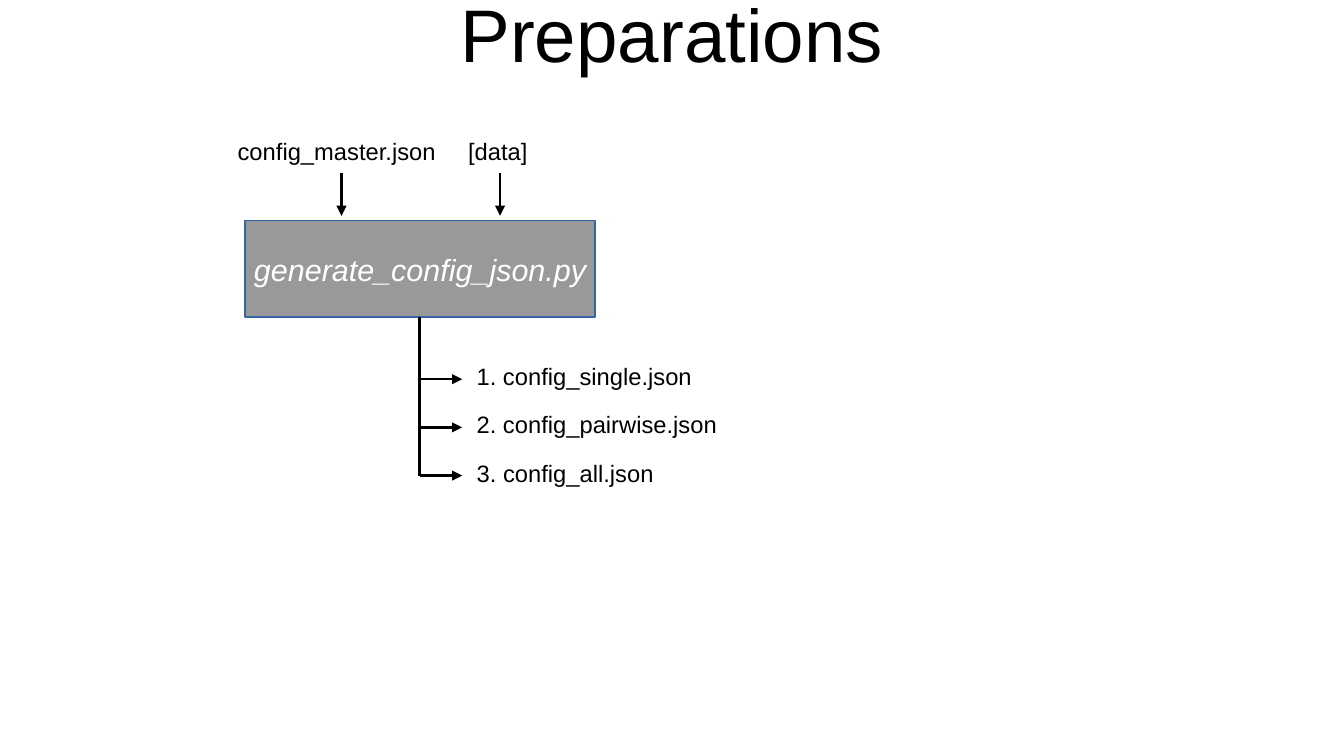
from typing import NamedTuple

from lxml import etree
from pptx import Presentation
from pptx.dml.color import RGBColor
from pptx.enum.shapes import MSO_CONNECTOR, MSO_SHAPE
from pptx.enum.text import MSO_ANCHOR, PP_ALIGN
from pptx.oxml.ns import qn
from pptx.util import Inches, Pt

STRAIGHT = MSO_CONNECTOR.STRAIGHT
RECTANGLE = MSO_SHAPE.RECTANGLE
MIDDLE = MSO_ANCHOR.MIDDLE
CENTER = PP_ALIGN.CENTER
LEFT = PP_ALIGN.LEFT

CELL = 0.1  # inches per grid column and row
COLUMNS, ROWS = 110.2, 62
COLORS = {"ink": "000000", "paper": "FFFFFF", "script": "999999", "border": "3465A4"}

LABEL_FORMAT = {"name": "Arial", "size": Pt(14)}
SCRIPT_FORMAT = {"name": "Arial", "size": Pt(18), "italic": True}
TITLE_FORMAT = {"name": "Arial", "size": Pt(44)}
NO_MARGINS = dict.fromkeys(
    ("margin_left", "margin_top", "margin_right", "margin_bottom"), 0)

TRUNK_COLUMN = 34.4
FIRST_OUTPUT_ROW, OUTPUT_STEP = 31.1, 3.95


class Area(NamedTuple):
    """A rectangle in grid columns and rows."""
    left: float
    top: float
    width: float
    height: float


class Source(NamedTuple):
    """An input of the script, with the column of its arrow."""
    text: str
    area: Area
    arrow_column: float


class Output(NamedTuple):
    """A file the script writes, with the width of its label."""
    text: str
    width: float


SOURCES = [
    Source("config_master.json", Area(18.5, 10.7, 18.9, 3.2), 28),
    Source("[data]", Area(37.4, 10.7, 7.1, 3.5), 41),
]
OUTPUTS = [
    Output("1. config_single.json", 19.7),
    Output("2. config_pairwise.json", 22.6),
    Output("3. config_all.json", 17.8),
]
SCRIPT_AREA = Area(20.1, 18.1, 28.7, 7.9)
TITLE_AREA = Area(5.5, -2.5, 99.2, 10.4)


def grid(cells: float) -> int:
    """Turn grid cells into a slide length."""
    return Inches(cells * CELL)


def color(name: str) -> RGBColor:
    """Look up a named colour."""
    return RGBColor.from_string(COLORS[name])


def set_values(target, values: dict) -> None:
    """Set each named attribute of the target."""
    for name, value in values.items():
        setattr(target, name, value)


def write(box, text: str, style: dict, ink: str = "ink", align=LEFT, **frame_values) -> None:
    """Put one formatted paragraph into a box."""
    set_values(box.text_frame, frame_values)
    para = box.text_frame.paragraphs[0]
    para.alignment = align
    span = para.add_run()
    span.text = text
    set_values(span.font, style)
    span.font.color.rgb = color(ink)


def add_label(page, text: str, area: Area) -> None:
    """Add a file label."""
    box = page.shapes.add_textbox(*map(grid, area))
    write(box, text, LABEL_FORMAT, word_wrap=True)


def add_line(page, start: tuple, end: tuple, width: float = 1.5, arrow: bool = True) -> None:
    """Draw a line between two grid points, with an optional arrowhead."""
    line = page.shapes.add_connector(STRAIGHT, *map(grid, start + end))
    line.line.color.rgb = color("ink")
    line.line.width = Pt(width)
    if arrow:
        etree.SubElement(line.line._get_or_add_ln(), qn("a:tailEnd"), type="triangle")
    etree.SubElement(line._element.spPr, qn("a:effectLst"))


def add_script(page) -> None:
    """Add the box of the generating script."""
    box = page.shapes.add_shape(RECTANGLE, *map(grid, SCRIPT_AREA))
    box.shadow.inherit = False
    box.fill.solid()
    box.fill.fore_color.rgb = color("script")
    box.line.color.rgb = color("border")
    box.line.width = Pt(0)
    write(box, "generate_config_json.py", SCRIPT_FORMAT, "paper", CENTER,
          word_wrap=False, vertical_anchor=MIDDLE)


def add_title(page) -> None:
    """Place and fill the title."""
    title = page.shapes.title
    set_values(title, dict(zip(TITLE_AREA._fields, map(grid, TITLE_AREA))))
    write(title, "Preparations", TITLE_FORMAT, align=CENTER,
          vertical_anchor=MIDDLE, word_wrap=True, **NO_MARGINS)


def add_sources(page) -> None:
    """Add the inputs and their arrows down to the script."""
    for source in SOURCES:
        add_label(page, source.text, source.area)
        add_line(page, (source.arrow_column, 14.2), (source.arrow_column, 17.7))


def add_outputs(page) -> None:
    """Add the trunk below the script and a branch to each output."""
    rows = [FIRST_OUTPUT_ROW + OUTPUT_STEP * index for index in range(len(OUTPUTS))]
    script_bottom = SCRIPT_AREA.top + SCRIPT_AREA.height
    add_line(page, (TRUNK_COLUMN, script_bottom), (TRUNK_COLUMN, rows[-1]), 1.42, False)
    for output, row in zip(OUTPUTS, rows):
        add_line(page, (TRUNK_COLUMN, row), (37.9, row))
        add_label(page, output.text, Area(38.1, row - 1.9, output.width, 3.2))


def main() -> None:
    """Build and save the deck."""
    deck = Presentation()
    deck.slide_width, deck.slide_height = grid(COLUMNS), grid(ROWS)
    page = deck.slides.add_slide(deck.slide_layouts[5])
    add_title(page)
    add_script(page)
    add_sources(page)
    add_outputs(page)
    deck.save("out.pptx")


main()
